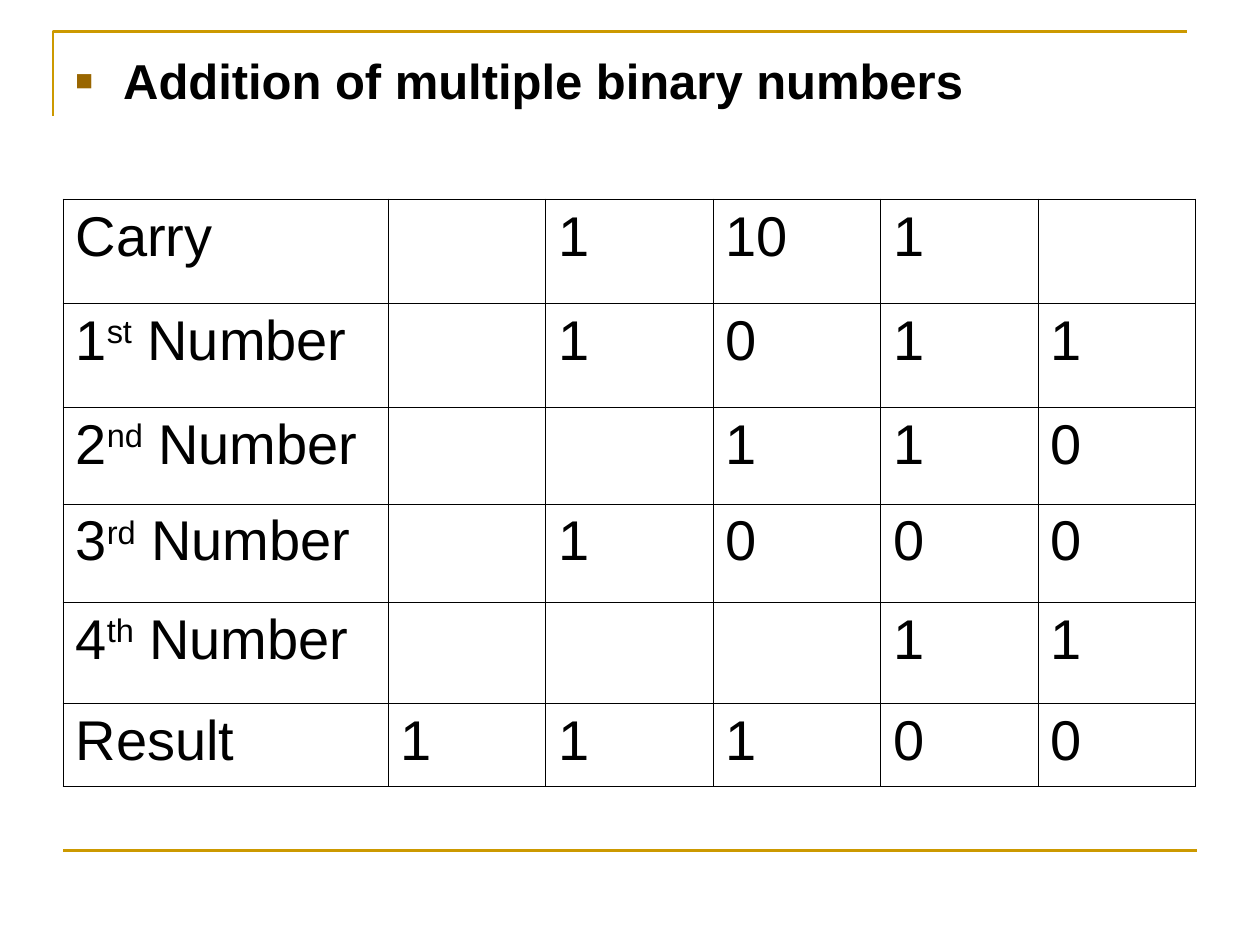
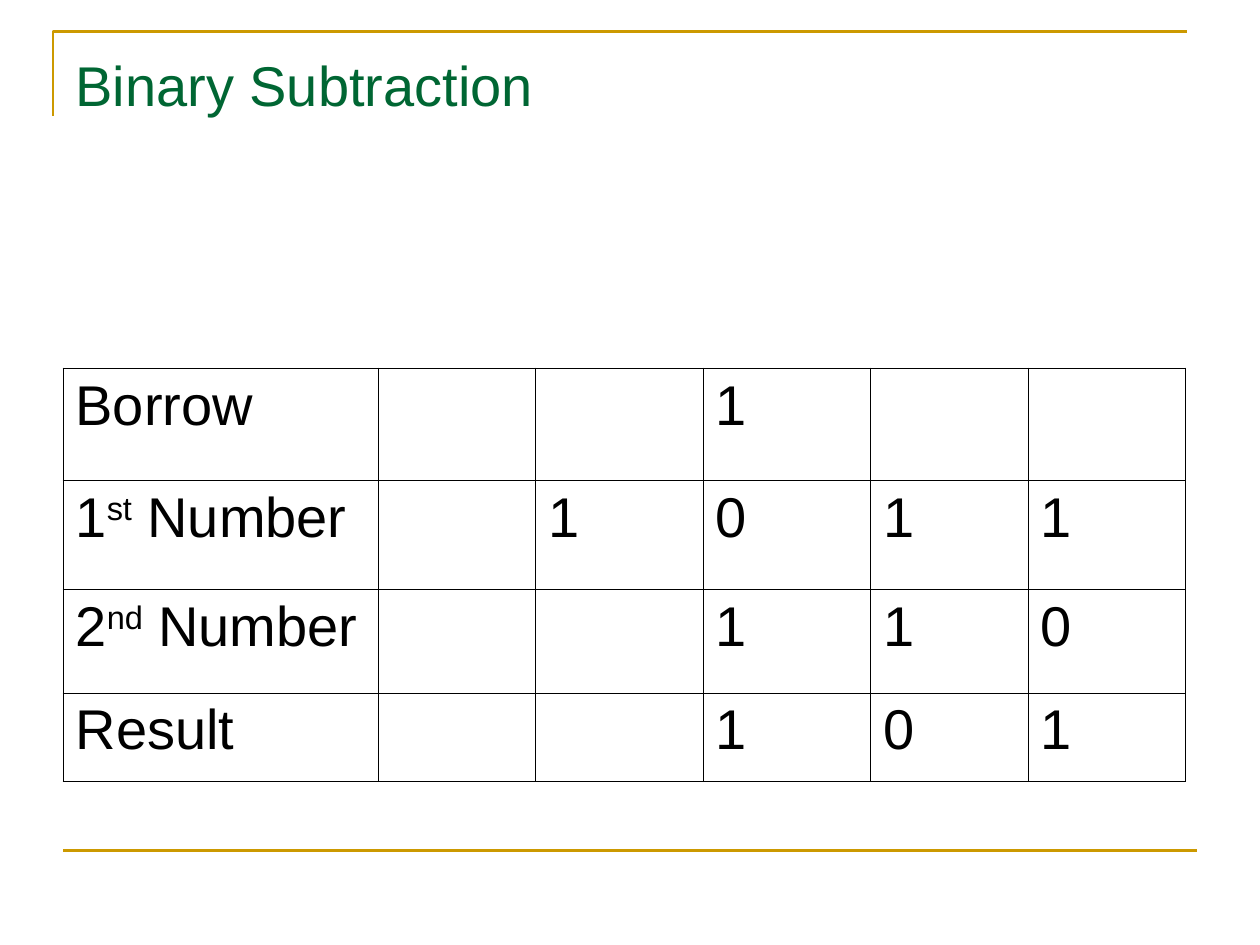
from lxml import etree
from pptx import Presentation
from pptx.dml.color import RGBColor
from pptx.enum.shapes import MSO_CONNECTOR
from pptx.enum.text import MSO_ANCHOR, PP_ALIGN
from pptx.oxml.ns import qn
from pptx.util import Inches, Pt

STRAIGHT = MSO_CONNECTOR.STRAIGHT
TOP = MSO_ANCHOR.TOP
JUSTIFY = PP_ALIGN.JUSTIFY

GOLD, BROWN, GREEN, BLACK = "CC9900", "996600", "006633", "000000"
FONT = "Arial"
INDENT = Inches(0.38)
LEFT = 0.5
BORDER_SIDES = ("a:lnL", "a:lnR", "a:lnT", "a:lnB")

# A "|" in a label surrounds its superscript part
SLIDES = [
    {
        "title": "Addition of multiple binary numbers",
        "size": 28, "color": BLACK, "bold": True, "bullet": "■",
        "top": 1.58,
        "columns": [2.58, 1.25, 1.33, 1.33, 1.25, 1.25],
        "heights": [0.83, 0.82, 0.77, 0.78, 0.8, 0.66],
        "rows": [
            ["Carry", "", "1", "10", "1", ""],
            ["1|st| Number", "", "1", "0", "1", "1"],
            ["2|nd| Number", "", "", "1", "1", "0"],
            ["3|rd| Number", "", "1", "0", "0", "0"],
            ["4|th| Number", "", "", "", "1", "1"],
            ["Result", "1", "1", "1", "0", "0"],
        ],
    },
    {
        "title": "Binary Subtraction",
        "size": 32, "color": GREEN, "bold": False, "bullet": None,
        "top": 2.92,
        "columns": [2.5, 1.25, 1.33, 1.33, 1.25, 1.25],
        "heights": [0.89, 0.87, 0.82, 0.7],
        "rows": [
            ["Borrow", "", "", "1", "", ""],
            ["1|st| Number", "", "1", "0", "1", "1"],
            ["2|nd| Number", "", "", "1", "1", "0"],
            ["Result", "", "", "1", "0", "1"],
        ],
    },
]


def rgb(hex_color):
    return RGBColor.from_string(hex_color)


def hang(paragraph):
    """Give the paragraph a hanging indent and return its properties."""
    properties = paragraph._p.get_or_add_pPr()
    properties.set("marL", str(INDENT))
    properties.set("indent", str(-INDENT))
    return properties


presentation = Presentation()
presentation.slide_width = Inches(10)
presentation.slide_height = Inches(7.5)

for content in SLIDES:
    slide = presentation.slides.add_slide(presentation.slide_layouts[6])

    # Corner frame around the title
    builder = slide.shapes.build_freeform(Inches(0.42), Inches(0.92))
    builder.add_line_segments(
        [(Inches(0.42), Inches(0.25)), (Inches(9.42), Inches(0.25))], close=False)
    frame = builder.convert_to_shape()
    frame.shadow.inherit = False
    frame.fill.background()

    # Footer rule
    footer = slide.shapes.add_connector(
        STRAIGHT, Inches(LEFT), Inches(6.75), Inches(9.5), Inches(6.75))
    etree.SubElement(footer._element.spPr, qn("a:effectLst"))
    for shape in (footer, frame):
        shape.line.color.rgb = rgb(GOLD)
        shape.line.width = Pt(1.5)

    # Title
    title = slide.shapes.add_textbox(Inches(LEFT), Inches(0.3), Inches(9), Inches(1.25))
    text_frame = title.text_frame
    text_frame.word_wrap = True
    text_frame.vertical_anchor = TOP
    text_frame.margin_top = Inches(0.1)
    text_frame.text = content["title"]
    paragraph = text_frame.paragraphs[0]
    if content["bullet"]:
        properties = hang(paragraph)
        bullet_color = etree.SubElement(properties, qn("a:buClr"))
        etree.SubElement(bullet_color, qn("a:srgbClr"), val=BROWN)
        etree.SubElement(properties, qn("a:buSzPct"), val="60000")
        etree.SubElement(properties, qn("a:buFont"), typeface=FONT)
        etree.SubElement(properties, qn("a:buChar"), char=content["bullet"])
    font = paragraph.runs[0].font
    font.name = FONT
    font.size = Pt(content["size"])
    font.bold = content["bold"]
    font.color.rgb = rgb(content["color"])

    # Table grid
    columns, heights = content["columns"], content["heights"]
    table = slide.shapes.add_table(
        len(heights), len(columns), Inches(LEFT), Inches(content["top"]),
        Inches(sum(columns)), Inches(sum(heights))).table
    table.first_row = False
    table.horz_banding = False
    for column, width in zip(table.columns, columns):
        column.width = Inches(width)
    for row, height in zip(table.rows, heights):
        row.height = Inches(height)

    # Table cells
    for row, texts in zip(table.rows, content["rows"]):
        for cell, text in zip(row.cells, texts):
            cell_properties = cell._tc.get_or_add_tcPr()
            for side in BORDER_SIDES:
                border = etree.SubElement(cell_properties, qn(side), w=str(Pt(0.45)))
                fill = etree.SubElement(border, qn("a:solidFill"))
                etree.SubElement(fill, qn("a:srgbClr"), val=BLACK)
            cell.fill.background()
            if not text:
                continue
            paragraph = cell.text_frame.paragraphs[0]
            paragraph.alignment = JUSTIFY
            hang(paragraph)
            for position, part in enumerate(text.split("|")):
                run = paragraph.add_run()
                run.text = part
                run.font.name = FONT
                run.font.size = Pt(32)
                run.font.color.rgb = rgb(BLACK)
                if position == 1:
                    run.font._element.set("baseline", "30000")

presentation.save("out.pptx")
